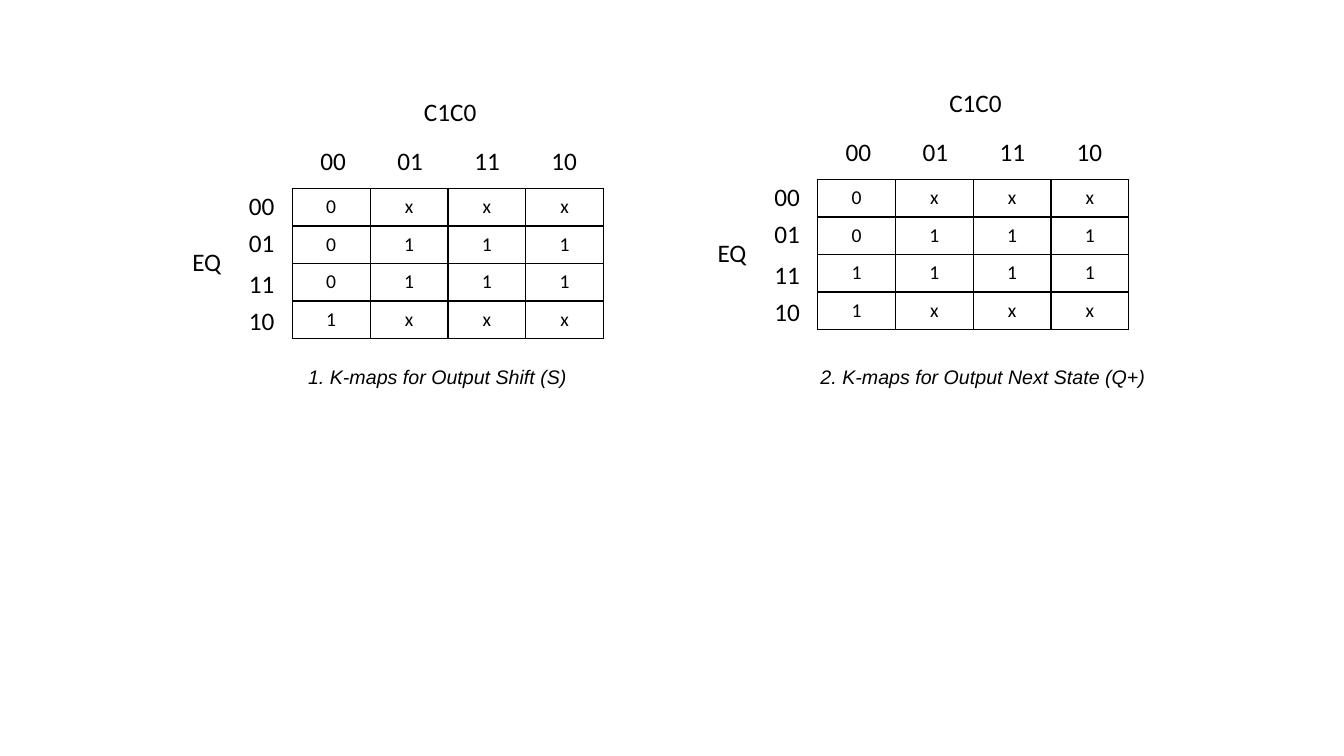
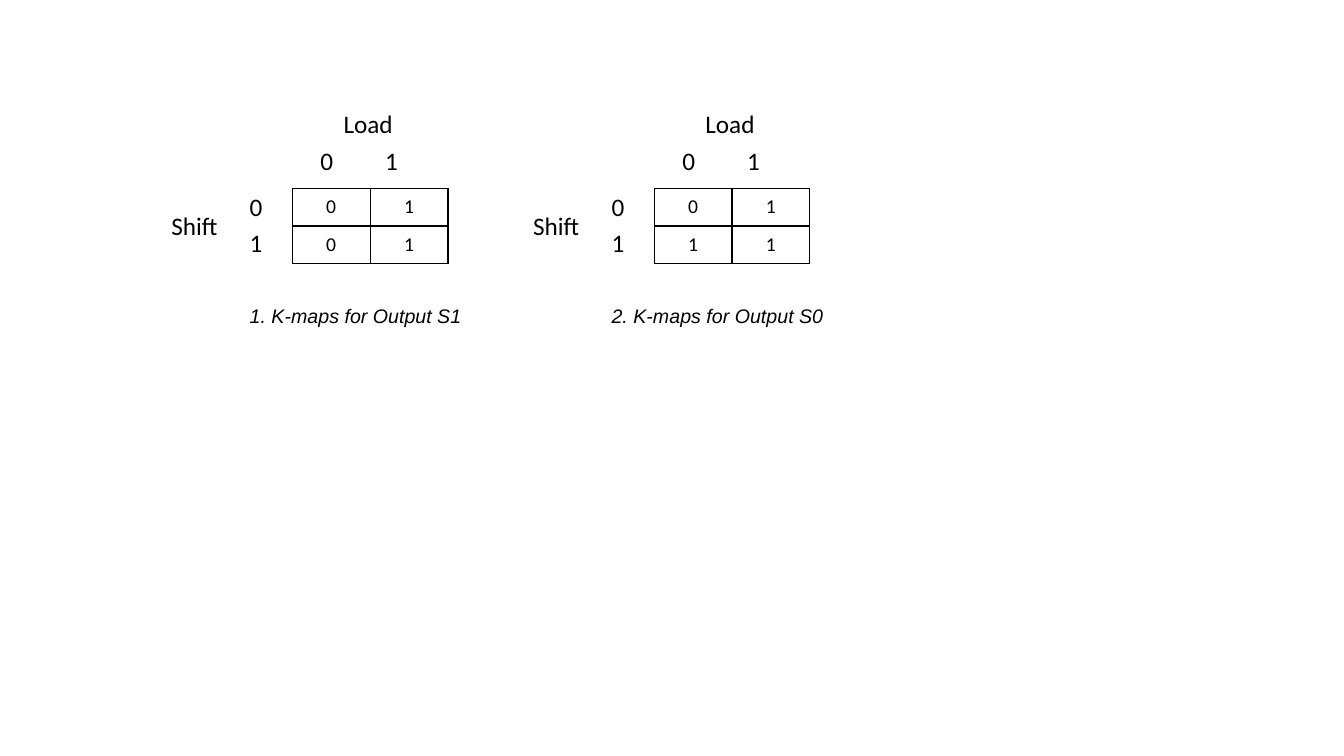
from dataclasses import dataclass

from lxml import etree
from pptx import Presentation
from pptx.dml.color import RGBColor
from pptx.enum.text import PP_ALIGN
from pptx.oxml.ns import qn
from pptx.util import Pt

CENTER = PP_ALIGN.CENTER
INK = RGBColor(0, 0, 0)
SANS = "Calibri"
NOTE = "Arial"
COL = 55.6
ROW = 26.8
PAD = 4.8
LABEL = 33


@dataclass
class Layout:
    """Labels of a kind of map and their offsets from the grid's corner."""
    top: str
    side: str
    codes: tuple
    pitch: float
    drops: tuple
    shift: float
    top_at: tuple
    side_at: tuple


STATE = Layout("C1C0", "EQ", ("00", "01", "11", "10"), 55,
               (-2, 24.5, 53.5, 80), -38, (87, -69), (-78.5, 38))
LOAD = Layout("Load", "Shift", ("0", "1"), 46.3,
              (-1.5, 24.5), -37.5, (29.5, -60.5), (-93.5, 12.2))


def style(para, size, face=SANS, slant=False):
    """Set the font of one paragraph."""
    font = para.font
    font.size, font.name, font.italic = Pt(size), face, slant
    font.color.rgb = INK


def label(slide, text, x, y, width, size=18, face=SANS, slant=False):
    """Place one line of text."""
    box = slide.shapes.add_textbox(Pt(x), Pt(y), Pt(width), Pt(size * 1.6))
    box.text_frame.word_wrap = True
    para = box.text_frame.paragraphs[0]
    para.text = text
    style(para, size, face, slant)


def border(cell):
    """Draw a thin line on every side of a cell."""
    props = cell._tc.get_or_add_tcPr()
    for side in ("a:lnL", "a:lnR", "a:lnT", "a:lnB"):
        line = etree.SubElement(props, qn(side), w=str(Pt(1)))
        fill = etree.SubElement(line, qn("a:solidFill"))
        etree.SubElement(fill, qn("a:srgbClr"), val=str(INK))


def grid(slide, rows, x, y):
    """Place the table of values, one string for each row."""
    down, across = len(rows), len(rows[0])
    table = slide.shapes.add_table(down, across, Pt(x), Pt(y),
                                   Pt(across * COL), Pt(down * ROW)).table
    table.first_row = table.horz_banding = False
    for col in table.columns:
        col.width = Pt(COL)
    for row, values in zip(table.rows, rows):
        row.height = Pt(ROW)
        for cell, value in zip(row.cells, values):
            cell.margin_left = cell.margin_right = Pt(PAD)
            cell.margin_top = cell.margin_bottom = Pt(PAD)
            border(cell)
            cell.fill.background()
            para = cell.text_frame.paragraphs[0]
            para.text = value
            para.alignment = CENTER
            style(para, 14)


def kmap(slide, plan, rows, x, y):
    """Place a map with its axis names and codes; x, y is the grid's corner."""
    grid(slide, rows, x, y)
    for i, (code, drop) in enumerate(zip(plan.codes, plan.drops)):
        label(slide, code, x + 13 + i * plan.pitch, y - 34, LABEL)
        label(slide, code, x + plan.shift, y + drop, LABEL)
    for text, (dx, dy) in ((plan.top, plan.top_at), (plan.side, plan.side_at)):
        label(slide, text, x + dx, y + dy, 53)


def caption(slide, text, x, y):
    """Place the italic line under a map."""
    label(slide, text, x, y, 260, 14, NOTE, True)


def state_slide(slide):
    """Fill the slide with the maps of four rows."""
    kmap(slide, STATE, ("0xxx", "0111", "0111", "1xxx"), 208.8, 134.6)
    kmap(slide, STATE, ("0xxx", "0111", "1111", "1xxx"), 584, 128.2)
    caption(slide, "1. K-maps for Output Shift (S)", 213, 257)
    caption(slide, "2. K-maps for Output Next State (Q+)", 579, 257)


def load_slide(slide):
    """Fill the slide with the maps of two rows."""
    maps = (("1. K-maps for Output S1", ("01", "01")),
            ("2. K-maps for Output S0", ("01", "11")))
    for i, (text, rows) in enumerate(maps):
        x = 208.8 + i * 258.5
        kmap(slide, LOAD, rows, x, 134.6)
        caption(slide, text, x + LOAD.shift, 213.8)


def main():
    """Build and save the slides."""
    deck = Presentation()
    deck.slide_width, deck.slide_height = Pt(960), Pt(540)
    for build in (state_slide, load_slide):
        build(deck.slides.add_slide(deck.slide_layouts[6]))
    deck.save("out.pptx")


if __name__ == "__main__":
    main()
